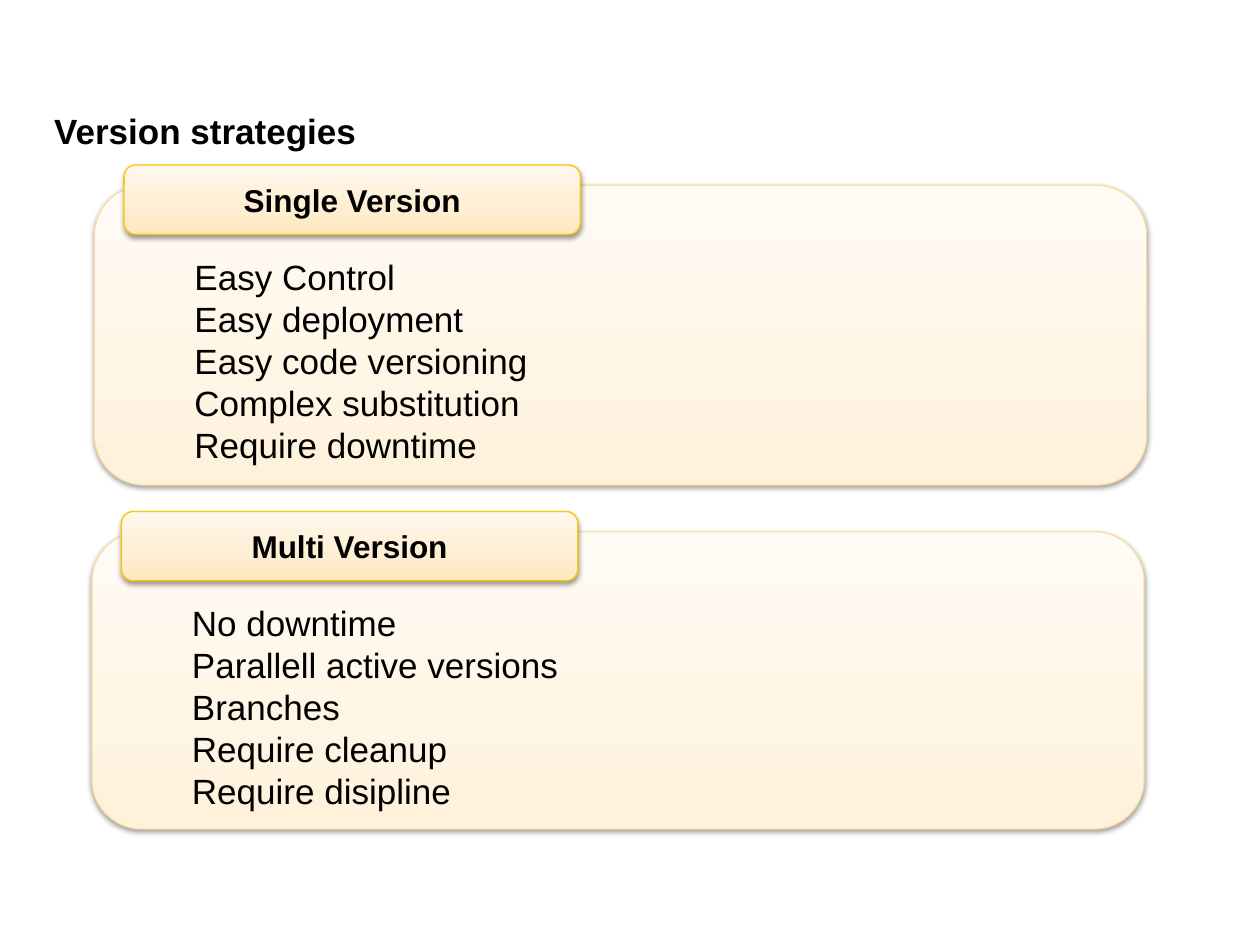
from dataclasses import dataclass

from lxml.etree import SubElement
from pptx import Presentation
from pptx.dml.color import RGBColor
from pptx.enum.shapes import MSO_SHAPE as Shape
from pptx.enum.text import MSO_ANCHOR as Anchor, MSO_AUTO_SIZE as AutoSize, PP_ALIGN as Align
from pptx.oxml.ns import qn
from pptx.util import Inches, Pt


@dataclass(frozen=True)
class Theme:
    font: str = "Arial"
    ink: str = "000000"
    heading_size: int = 20
    label_size: int = 18
    body_size: int = 20
    line_width: float = 0.75
    stops: tuple = (0, 35, 100)
    panel_fill: tuple = ("FFF1DA", "FFF5E4", "FFFBF5")
    panel_line: str = "FBDEA4"
    label_fill: tuple = ("FFE7BD", "FFEED1", "FFF8EE")
    label_line: str = "F9C800"


THEME = Theme()
# Left, top and height of each panel, in inches, with its label and points
STRATEGIES = (
    (0.75, 1.47, 2.38, "Single Version",
     ("Easy Control", "Easy deployment", "Easy code versioning",
      "Complex substitution", "Require downtime")),
    (0.73, 4.22, 2.36, "Multi Version",
     ("No downtime", "Parallell active versions", "Branches",
      "Require cleanup", "Require disipline")),
)
PANEL_WIDTH = 8.35
LABEL_WIDTH, LABEL_HEIGHT = 3.62, 0.55
LABEL_DX, LABEL_DY = 0.235, -0.16
POINTS_DX, POINTS_DY, POINTS_HEIGHT = 0.695, 0.505, 1.78


def box(left, top, width, height):
    return [Inches(length) for length in (left, top, width, height)]


def style_text(paragraph, size, bold=False, align=Align.LEFT):
    paragraph.alignment = align
    font = paragraph.font
    font.name, font.size, font.bold = THEME.font, Pt(size), bold
    font.color.rgb = RGBColor.from_string(THEME.ink)


def clear_margins(frame):
    frame.margin_left = frame.margin_right = frame.margin_top = frame.margin_bottom = 0
    frame.vertical_anchor = Anchor.MIDDLE


def add_color(parent, color):
    return SubElement(parent, qn("a:srgbClr"), val=color)


def add_card(slide, bounds, colors, line_color):
    """Add a rounded box with a gradient rising from the bottom and a soft shadow."""
    card = slide.shapes.add_shape(Shape.ROUNDED_RECTANGLE, *bounds)
    card.fill.gradient()
    card.fill.gradient_angle = 90
    properties = card.element.spPr
    gradient = properties.find(".//" + qn("a:gsLst"))
    gradient.clear()
    for position, color in zip(THEME.stops, colors):
        add_color(SubElement(gradient, qn("a:gs"), pos=str(position * 1000)), color)
    card.line.color.rgb = RGBColor.from_string(line_color)
    card.line.width = Pt(THEME.line_width)
    card.shadow.inherit = False
    shadow = SubElement(properties.find(qn("a:effectLst")), qn("a:outerShdw"),
                        blurRad=str(Pt(3.1)), dist=str(Pt(1.6)),
                        dir="5400000", rotWithShape="0")
    SubElement(add_color(shadow, "000000"), qn("a:alpha"), val="38000")
    return card


def add_label(slide, left, top, text):
    label = add_card(slide, box(left, top, LABEL_WIDTH, LABEL_HEIGHT),
                     THEME.label_fill, THEME.label_line)
    frame = label.text_frame
    clear_margins(frame)
    frame.word_wrap = False
    frame.text = text
    style_text(frame.paragraphs[0], THEME.label_size, True, Align.CENTER)


def add_points(slide, left, top, points):
    frame = slide.shapes.add_textbox(*box(left, top, LABEL_WIDTH, POINTS_HEIGHT)).text_frame
    frame.word_wrap = True
    frame.auto_size = AutoSize.SHAPE_TO_FIT_TEXT
    frame.text = "\n".join(points)
    for paragraph in frame.paragraphs:
        style_text(paragraph, THEME.body_size)


def add_strategy(slide, left, top, height, name, points):
    add_card(slide, box(left, top, PANEL_WIDTH, height), THEME.panel_fill, THEME.panel_line)
    add_label(slide, left + LABEL_DX, top + LABEL_DY, name)
    add_points(slide, left + POINTS_DX, top + POINTS_DY, points)


def set_heading(slide, text):
    heading = slide.shapes.title
    heading.left, heading.top, heading.width, heading.height = box(0.43, 0.84, 9.14, 0.39)
    clear_margins(heading.text_frame)
    heading.text_frame.text = text
    style_text(heading.text_frame.paragraphs[0], THEME.heading_size, True)


def main():
    deck = Presentation()
    deck.slide_width, deck.slide_height = Inches(10), Inches(7.5)
    slide = deck.slides.add_slide(deck.slide_layouts[5])
    set_heading(slide, "Version strategies")
    for strategy in STRATEGIES:
        add_strategy(slide, *strategy)
    deck.save("out.pptx")


if __name__ == "__main__":
    main()
